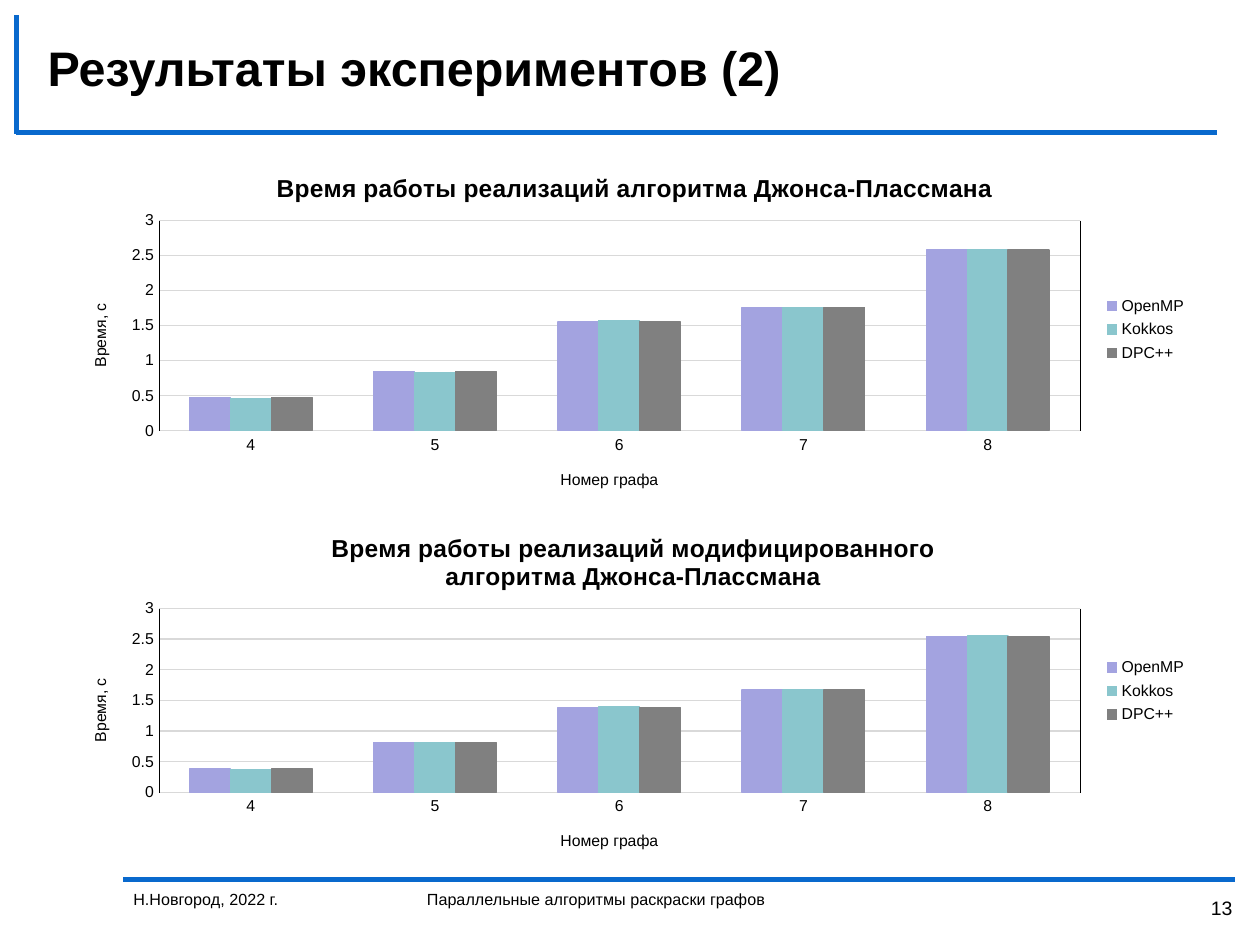
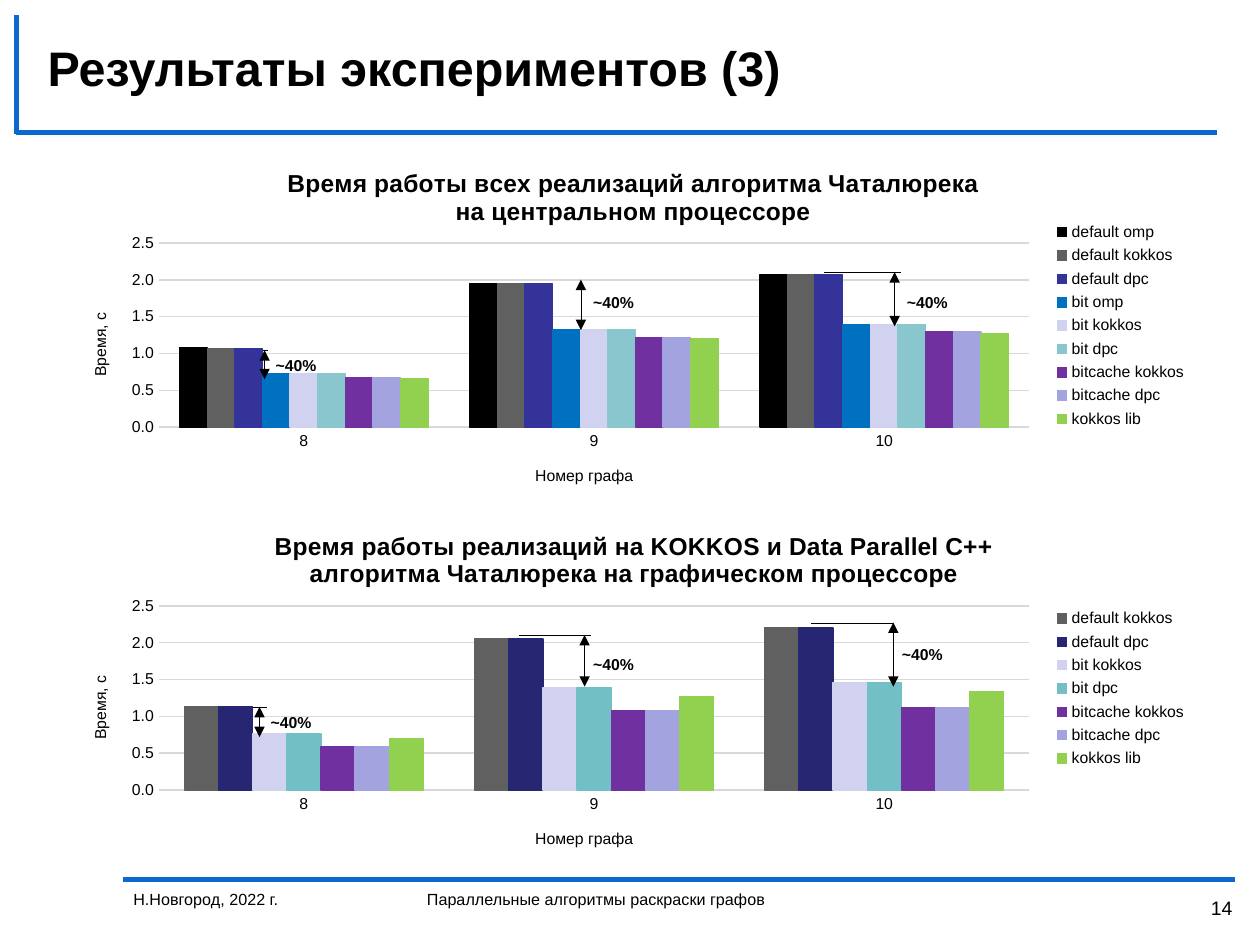
from dataclasses import dataclass
from typing import Optional

from lxml import etree
from pptx import Presentation
from pptx.chart.data import CategoryChartData
from pptx.dml.color import RGBColor
from pptx.enum import chart as ch, shapes, text
from pptx.oxml import ns
from pptx.util import Inches, Pt

FONT, BLACK, BLUE, GRID = "Arial", "000000", "0969CD", "D9D9D9"
CHART_LEFT, CHART_W, CHART_H = 0.47, 9.05, 2.87
PLOT_LEFT, PLOT_BOTTOM = 0.79, 2.24


@dataclass
class Series:
    name: str
    values: tuple
    color: str


@dataclass
class BarChart:
    top: float
    title: str
    title_left: float
    series: list


@dataclass
class ChartStyle:
    """What both charts of one slide share; lengths are inside the chart."""
    categories: tuple
    plot_right: float
    maximum: float
    number_format: str
    side_lines: bool


@dataclass
class Gap:
    """A '~40%' mark: a level line, a double arrow and a label."""
    level: Optional[tuple]  # left, right, y
    arrow: tuple  # x, top, bottom
    label: tuple  # left, top
    width: float = 0.25


def rgb(color: str) -> RGBColor:
    return RGBColor.from_string(color)


def style_font(font, size: float, bold: bool = False) -> None:
    font.name, font.size, font.bold = FONT, Pt(size), bold
    font.color.rgb = rgb(BLACK)


def add_text(s, words: str, left: float, top: float, width: float, height: float,
             size: float, bold: bool = False, wrap: bool = True,
             align=text.PP_ALIGN.LEFT, anchor=text.MSO_ANCHOR.TOP) -> None:
    sp = s.shapes.add_textbox(*map(Inches, (left, top, width, height)))
    tf = sp.text_frame
    tf.word_wrap, tf.vertical_anchor = wrap, anchor
    p = tf.paragraphs[0]
    p.text, p.alignment = words, align
    style_font(p.font, size, bold)


def add_line(s, x1: float, y1: float, x2: float, y2: float, color: str = BLACK,
             width: float = 0.25, arrows: bool = False) -> None:
    sp = s.shapes.add_connector(shapes.MSO_CONNECTOR.STRAIGHT,
                                *map(Inches, (x1, y1, x2, y2)))
    sp.line.color.rgb, sp.line.width = rgb(color), Pt(width)
    if arrows:
        ln = sp.line._get_or_add_ln()
        for end in ("a:headEnd", "a:tailEnd"):
            etree.SubElement(ln, ns.qn(end), type="triangle")
    etree.SubElement(sp._element.spPr, ns.qn("a:effectLst"))


# Charts
def set_layout(parent, index: int, x: float, y: float,
               size: Optional[tuple] = None) -> None:
    """Fix the place of a chart part, in inches from the chart's corner."""
    for old in parent.findall(ns.qn("c:layout")):
        parent.remove(old)
    layout = etree.Element(ns.qn("c:layout"))
    manual = etree.SubElement(layout, ns.qn("c:manualLayout"))
    items = {"xMode": "edge", "yMode": "edge", "x": x / CHART_W, "y": y / CHART_H}
    if size:
        items = {"layoutTarget": "inner", **items,
                 "w": size[0] / CHART_W, "h": size[1] / CHART_H}
    for tag, value in items.items():
        etree.SubElement(manual, ns.qn("c:" + tag), val=str(value))
    parent.insert(index, layout)


def set_title(owner, title: str, size: float, bold: bool, x: float, y: float) -> None:
    """Title a chart or an axis."""
    part = owner.chart_title if hasattr(owner, "chart_title") else owner.axis_title
    part.text_frame.text = title
    for p in part.text_frame.paragraphs:
        style_font(p.font, size, bold)
    set_layout(part._element, 1, x, y)


def add_chart(s, spec_: BarChart, style: ChartStyle) -> None:
    data = CategoryChartData()
    data.categories = style.categories
    for item in spec_.series:
        data.add_series(item.name, item.values)
    chart = s.shapes.add_chart(
        ch.XL_CHART_TYPE.COLUMN_CLUSTERED,
        *map(Inches, (CHART_LEFT, spec_.top, CHART_W, CHART_H)), data).chart
    style_font(chart.font, 10)

    plot = chart.plots[0]
    plot.gap_width, plot.overlap, plot.vary_by_categories = 150, 0, False
    for bars, item in zip(plot.series, spec_.series):
        bars.format.fill.solid()
        bars.format.fill.fore_color.rgb = rgb(item.color)
        bars.format.line.color.rgb = rgb(item.color)
        bars.format.line.width = Pt(0.75)

    chart.has_legend = True
    chart.legend.position = ch.XL_LEGEND_POSITION.RIGHT
    chart.legend.include_in_layout = False
    style_font(chart.legend.font, 9)

    cat, val = chart.category_axis, chart.value_axis
    for axis in (cat, val):
        axis.major_tick_mark = axis.minor_tick_mark = ch.XL_TICK_MARK.NONE
        style_font(axis.tick_labels.font, 9)
    val.minimum_scale, val.maximum_scale, val.major_unit = 0, style.maximum, 0.5
    val.tick_labels.number_format = style.number_format
    val.tick_labels.number_format_is_linked = False
    val.format.line.fill.background()
    for line in (cat.format.line, val.major_gridlines.format.line):
        line.color.rgb, line.width = rgb(GRID), Pt(0.75)

    # A two-line title leaves less height for the plot
    plot_top = 0.78 if "\n" in spec_.title else 0.57
    width, height = style.plot_right - PLOT_LEFT, PLOT_BOTTOM - plot_top
    set_layout(chart._chartSpace.chart.plotArea, 0, PLOT_LEFT, plot_top, (width, height))
    set_title(chart, spec_.title, 14, True, spec_.title_left - CHART_LEFT, 0.15)
    set_title(cat, "Номер графа", 9, False, PLOT_LEFT + width / 2 - 0.49, 2.52)
    set_title(val, "Время, с", 9, False, 0.22, plot_top + height / 2 - 0.2)

    if style.side_lines:
        for x in (PLOT_LEFT, style.plot_right):
            add_line(s, CHART_LEFT + x, spec_.top + plot_top,
                     CHART_LEFT + x, spec_.top + PLOT_BOTTOM)


# Slide frame
def add_slide(prs, title: str, number: int):
    s = prs.slides.add_slide(prs.slide_layouts[6])
    for ends in ((0.98, 6.98, 9.8, 6.98), (0.13, 1.05, 9.66, 1.05),
                 (0.13, 0.12, 0.13, 1.06)):
        add_line(s, *ends, color=BLUE, width=3)
    add_text(s, title, 0.28, 0.23, 9.17, 0.61, 27.7, bold=True,
             anchor=text.MSO_ANCHOR.MIDDLE)
    add_text(s, "Н.Новгород, 2022 г.", 0.96, 7.01, 2.24, 0.49, 9.2)
    add_text(s, "Параллельные алгоритмы раскраски графов", 3.29, 7.01, 6.3, 0.49, 9.2)
    add_text(s, str(number), 9.37, 7.06, 0.51, 0.29, 11.1, align=text.PP_ALIGN.RIGHT)
    return s


# Content
def library_series(*rows: tuple) -> list:
    names = ("OpenMP", "Kokkos", "DPC++")
    return [Series(*item) for item in zip(names, rows, ("A3A3E0", "8AC6CD", "808080"))]


JONES_STYLE = ChartStyle(("4", "5", "6", "7", "8"), 8.1, 3, "General", True)
JONES_CHARTS = [
    BarChart(1.18, "Время работы реализаций алгоритма Джонса-Плассмана", 2.16,
             library_series((0.47, 0.84, 1.55, 1.76, 2.58),
                            (0.46, 0.83, 1.57, 1.76, 2.59),
                            (0.47, 0.84, 1.55, 1.76, 2.58))),
    BarChart(4.05, "Время работы реализаций модифицированного\n"
                   "алгоритма Джонса-Плассмана", 2.6,
             library_series((0.38, 0.81, 1.38, 1.67, 2.54),
                            (0.37, 0.81, 1.39, 1.67, 2.55),
                            (0.38, 0.81, 1.38, 1.67, 2.54))),
]

CATALYUREK_STYLE = ChartStyle(("8", "9", "10"), 7.7, 2.5, "0.0", False)
CATALYUREK_CHARTS = [
    BarChart(1.15, "Время работы всех реализаций алгоритма Чаталюрека\n"
                   "на центральном процессоре", 2.25, [
        Series("default omp", (1.08, 1.95, 2.07), BLACK),
        Series("default kokkos", (1.07, 1.95, 2.07), "606060"),
        Series("default dpc", (1.07, 1.95, 2.07), "333399"),
        Series("bit omp", (0.73, 1.32, 1.39), "0070C0"),
        Series("bit kokkos", (0.72, 1.32, 1.39), "D1D1F0"),
        Series("bit dpc", (0.72, 1.32, 1.39), "8AC6CD"),
        Series("bitcache kokkos", (0.67, 1.22, 1.29), "7030A0"),
        Series("bitcache dpc", (0.67, 1.22, 1.29), "A3A3E0"),
        Series("kokkos lib", (0.66, 1.2, 1.27), "92D050")]),
    BarChart(4.03, "Время работы реализаций на KOKKOS и Data Parallel C++\n"
                   "алгоритма Чаталюрека на графическом процессоре", 2.15, [
        Series("default kokkos", (1.13, 2.05, 2.2), "606060"),
        Series("default dpc", (1.13, 2.05, 2.2), "262673"),
        Series("bit kokkos", (0.76, 1.39, 1.46), "D1D1F0"),
        Series("bit dpc", (0.76, 1.39, 1.46), "72BFC5"),
        Series("bitcache kokkos", (0.59, 1.07, 1.12), "7030A0"),
        Series("bitcache dpc", (0.59, 1.07, 1.12), "A3A3E0"),
        Series("kokkos lib", (0.7, 1.27, 1.34), "92D050")]),
]
GAPS = [
    Gap((1.81, 2.13, 2.78), (2.1, 2.78, 3.01), (2.09, 2.77)),
    Gap((4.12, 4.66, 2.22), (4.61, 2.22, 2.62), (4.61, 2.27)),
    Gap((6.54, 7.15, 2.16), (7.1, 2.16, 2.59), (7.1, 2.27)),
    Gap((1.81, 2.12, 5.61), (2.06, 5.61, 5.85), (2.05, 5.61), 0.75),
    Gap((4.12, 4.69, 5.04), (4.64, 5.04, 5.45), (4.61, 5.15)),
    Gap((6.44, 7.09, 4.95), (7.09, 4.94, 5.45), (7.06, 5.07)),
]

prs = Presentation()
prs.slide_width, prs.slide_height = Inches(10), Inches(7.5)

# Slide 13: Jones-Plassmann
s = add_slide(prs, "Результаты экспериментов (2)", 13)
for item in JONES_CHARTS:
    add_chart(s, item, JONES_STYLE)

# Slide 14: Catalyurek; level lines lie behind the bars, arrows in front
s = add_slide(prs, "Результаты экспериментов (3)", 14)
for gap in GAPS:
    left, right, y = gap.level
    add_line(s, left, y, right, y)
for item in CATALYUREK_CHARTS:
    add_chart(s, item, CATALYUREK_STYLE)
for gap in GAPS:
    x, top, bottom = gap.arrow
    add_line(s, x, top, x, bottom, width=gap.width, arrows=True)
    add_text(s, "~40%", *gap.label, 0.53, 0.25, 9, bold=True, wrap=False)

prs.save("out.pptx")
